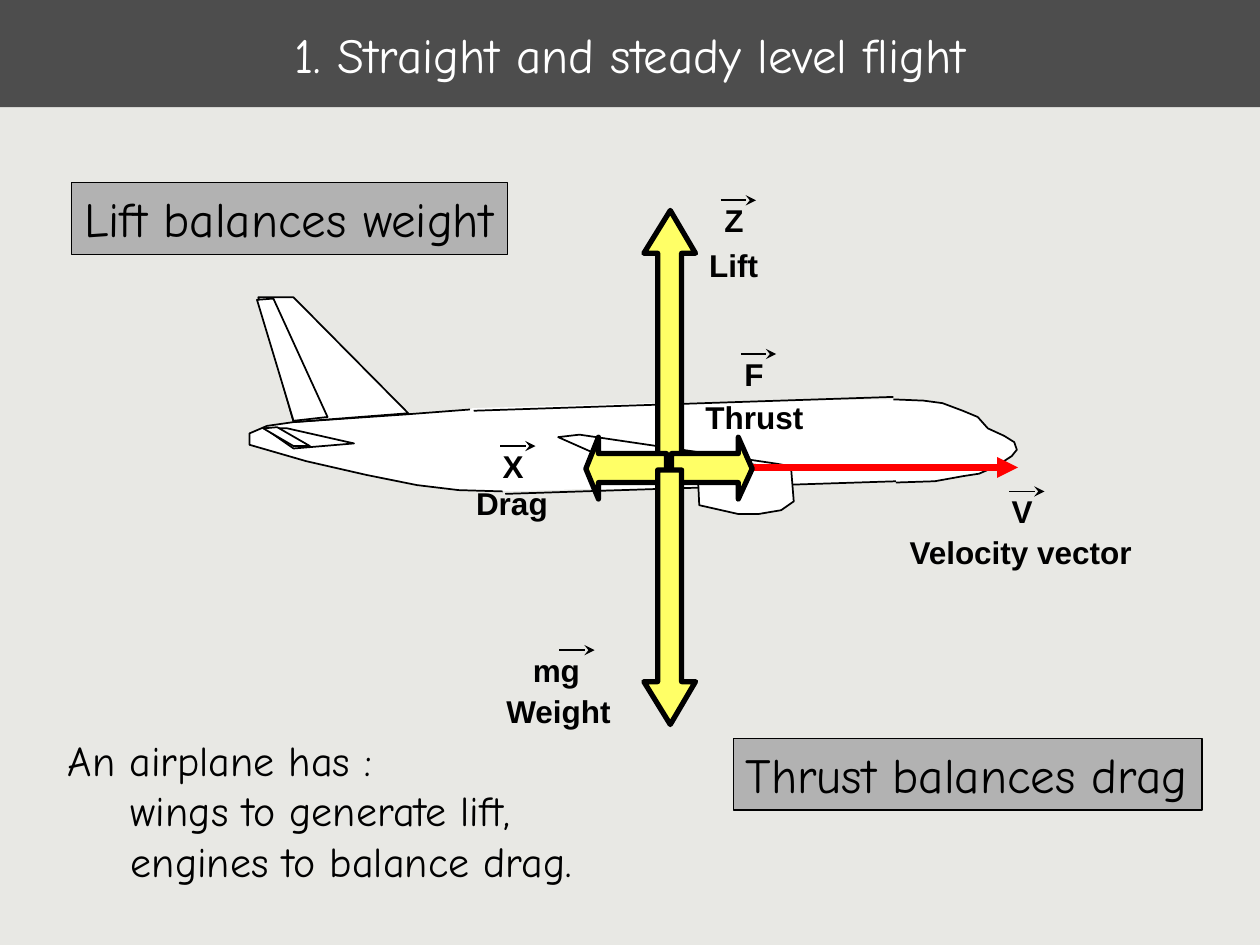
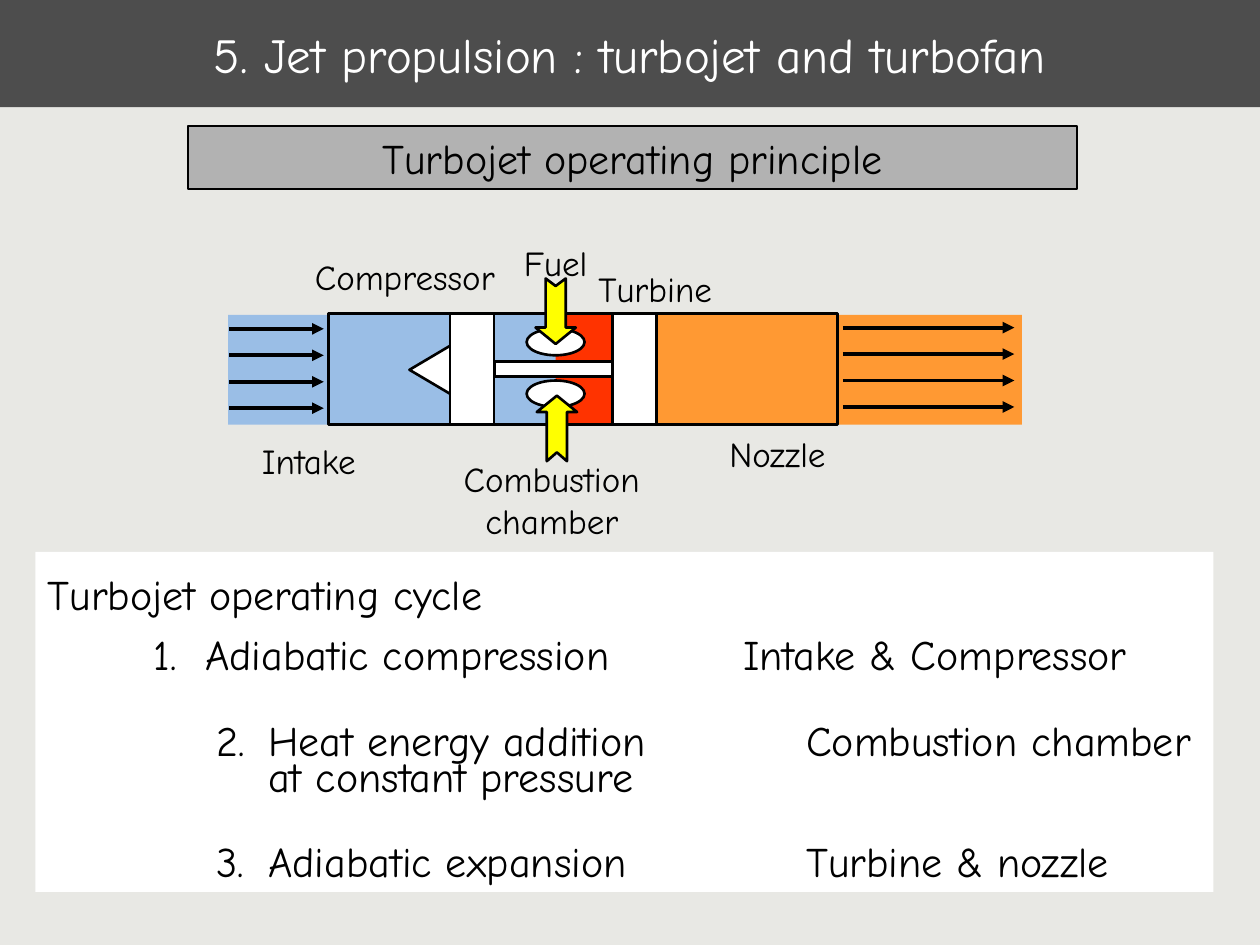
import pptx
import pptx.util
import pptx.dml.color
import pptx.enum.shapes
import pptx.enum.text
import pptx.oxml.ns
import lxml.etree

RGB = pptx.dml.color.RGBColor
KIND = pptx.enum.shapes.MSO_SHAPE
ALIGN = pptx.enum.text.PP_ALIGN
ANCHOR = pptx.enum.text.MSO_ANCHOR
FIT = pptx.enum.text.MSO_AUTO_SIZE
qn = pptx.oxml.ns.qn

SCALE = 9144  # EMU in one px, 100 px to the inch

PAPER = RGB(0xE8, 0xE8, 0xE4)
BAND = RGB(0x4D, 0x4D, 0x4D)
GREY = RGB(0xB2, 0xB2, 0xB2)
BLACK = RGB(0, 0, 0)
WHITE = RGB(0xFF, 0xFF, 0xFF)
RED = RGB(0xFF, 0, 0)
FLAME = RGB(0xFF, 0x33, 0)
ORANGE = RGB(0xFF, 0x99, 0x33)
BLUE = RGB(0x9A, 0xBE, 0xE6)
LEMON = RGB(0xFF, 0xFF, 0x66)
YELLOW = RGB(0xFF, 0xFF, 0)

HAND = "Comic Neue"
SANS = "Arial"

# Airplane outlines, from back to front
HULL = [(375, 324), (514, 320), (636, 318), (695, 317), (717, 317), (717, 382),
        (620, 385), (513, 388), (471, 388), (440, 389), (405, 390), (387, 389),
        (350, 367), (354, 336), (375, 324)]
NOSE = [(709, 317), (733, 318), (748, 320), (764, 326), (776, 331), (784, 340),
        (797, 346), (805, 351), (807, 357), (803, 362), (791, 370), (777, 376),
        (764, 378), (742, 382), (711, 383)]
REAR = [(373, 325), (321, 329), (233, 335), (212, 338), (198, 344), (198, 353),
        (243, 366), (291, 377), (331, 385), (364, 389), (399, 390)]
FIN = [(324, 328), (233, 236), (205, 236), (233, 335), (324, 328)]
RUDDER = [(260, 331), (217, 237), (204, 238), (233, 334), (260, 331)]
WING = [(443, 347), (460, 345), (616, 368), (627, 370), (621, 374), (594, 377),
        (550, 379), (503, 379), (495, 370), (443, 347)]
ENGINE = [(628, 373), (630, 398), (620, 405), (602, 408), (586, 408), (555, 401),
          (554, 380), (577, 374), (607, 371), (628, 373)]
PYLON = [(608, 370), (585, 367), (561, 367), (509, 369), (516, 377), (561, 378),
         (576, 374), (608, 370)]
TAIL = [(281, 352), (228, 340), (210, 340), (233, 356), (281, 352)]
FLAP = [(246, 354), (220, 339), (209, 340), (233, 354), (246, 354)]


def px(*sizes):
    return [round(size * SCALE) for size in sizes]


def paint(shape, fill, weight):
    """Set the fill and the black outline; None and 0 mean neither."""
    shape.shadow.inherit = False
    if fill is None:
        shape.fill.background()
    else:
        shape.fill.solid()
        shape.fill.fore_color.rgb = fill
    if weight:
        shape.line.color.rgb = BLACK
        shape.line.width = pptx.util.Pt(weight)
    else:
        shape.line.fill.background()
    return shape


def block(slide, box, fill=None, weight=0, kind=KIND.RECTANGLE):
    return paint(slide.shapes.add_shape(kind, *px(*box)), fill, weight)


def outline(slide, dots, fill, weight):
    pen = slide.shapes.build_freeform(*dots[0], scale=SCALE)
    pen.add_line_segments(dots[1:], close=False)
    return paint(pen.convert_to_shape(), fill, weight)


def line(slide, start, end, weight=1, color=BLACK, head=None):
    wire = slide.shapes.add_connector(
        pptx.enum.shapes.MSO_CONNECTOR.STRAIGHT, *px(*start, *end))
    wire.line.color.rgb = color
    wire.line.width = pptx.util.Pt(weight)
    if head:
        edge = wire.line._get_or_add_ln()
        lxml.etree.SubElement(edge, qn("a:tailEnd"), type=head)
    lxml.etree.SubElement(wire._element.spPr, qn("a:effectLst"))


def write(shape, text, size, font=HAND, color=BLACK, align=ALIGN.LEFT,
          anchor=ANCHOR.TOP, wrap=False, grow=True):
    frame = shape.text_frame
    frame.text = text
    frame.word_wrap = wrap
    frame.vertical_anchor = anchor
    frame.auto_size = FIT.SHAPE_TO_FIT_TEXT if grow else FIT.NONE
    for para in frame.paragraphs:
        para.alignment = align
        style(para, size, font, color)
    return frame


def style(para, size, font, color):
    for run in para.runs:
        run.font.size = pptx.util.Pt(size)
        run.font.name = font
        run.font.bold = font == SANS
        run.font.color.rgb = color


def indent(para, left):
    para.level = 1
    props = para._p.get_or_add_pPr()
    props.set("marL", str(left * SCALE))
    props.set("indent", "0")


def set_tabs(para, stops):
    tabs = lxml.etree.SubElement(para._p.get_or_add_pPr(), qn("a:tabLst"))
    for stop in stops:
        lxml.etree.SubElement(tabs, qn("a:tab"), pos=str(stop * SCALE), algn="l")


def label(slide, box, text, size=20, font=HAND, align=ALIGN.LEFT):
    return write(slide.shapes.add_textbox(*px(*box)), text, size, font, align=align)


def force(slide, left, top, wide, text):
    label(slide, (left, top, wide, 40), text, 18, SANS)


def vector(slide, left, top, wide, sign):
    """A bold symbol under a small arrow."""
    right = left + wide
    line(slide, (right - 28, top + 4), (right, top + 4), head="stealth")
    force(slide, left, top, wide, sign)


def arrow(slide, mid, marks, wide, thin, fill, weight, flat=False):
    """A block arrow about the axis mid; marks are tip, base, notch and tail."""
    tip, base, notch, tail = marks
    dots = [(mid - wide, base), (mid - thin, base), (mid - thin, tail),
            (mid, notch), (mid + thin, tail), (mid + thin, base),
            (mid + wide, base), (mid, tip), (mid - wide, base)]
    if flat:
        dots = [(y, x) for x, y in dots]
    outline(slide, dots, fill, weight)


def caption(slide, box, text):
    write(block(slide, box, GREY, 0.75), text, 28)


def start(deck, title):
    slide = deck.slides.add_slide(deck.slide_layouts[6])
    slide.background.fill.solid()
    slide.background.fill.fore_color.rgb = PAPER
    write(block(slide, (0, 0, 1000, 85), BAND), title, 28, color=WHITE,
          align=ALIGN.CENTER, anchor=ANCHOR.MIDDLE, wrap=True, grow=False)
    return slide


def flight(deck):
    slide = start(deck, "1. Straight and steady level flight")

    # Airplane
    outline(slide, HULL, WHITE, 0)
    line(slide, (709, 315), (376, 326))
    outline(slide, NOSE, WHITE, 1)
    outline(slide, REAR, WHITE, 1)
    line(slide, (711, 382), (401, 392))
    for part in (FIN, RUDDER, WING, ENGINE, PYLON, TAIL, FLAP):
        outline(slide, part, WHITE, 1)

    # Forces and velocity
    arrow(slide, 531.5, (167, 201, 369, 369), 20.5, 9.5, LEMON, 3)
    line(slide, (531, 371), (808, 371), 4, RED, "triangle")
    for marks in ((465, 475, 529, 529), (597, 586, 533, 533)):
        arrow(slide, 371.5, marks, 24.5, 11.5, LEMON, 3, flat=True)
    arrow(slide, 531.5, (575, 541, 373, 373), 20.5, 9.5, LEMON, 3)

    # Symbols and names
    for spot in ((565, 155, 35, "Z"), (793, 386, 36, "V"), (389, 350, 36, "X"),
                 (581, 277, 35, "F"), (413, 512, 59, "mg")):
        vector(slide, *spot)
    for spot in ((553, 190, 59, "Lift"), (712, 418, 198, "Velocity vector"),
                 (368, 379, 77, "Drag"), (550, 311, 98, "Thrust"),
                 (392, 544, 104, "Weight")):
        force(slide, *spot)

    # Statements
    caption(slide, (582, 586, 372, 57), "Thrust balances drag")
    frame = label(slide, (44, 578, 422, 130), "An airplane has :\n"
                  "wings to generate lift,\nengines to balance drag.", 24)
    for para in frame.paragraphs[1:]:
        indent(para, 50)
    caption(slide, (57, 145, 346, 57), "Lift balances weight")


def jet(deck):
    slide = start(deck, "5. Jet propulsion : turbojet and turbofan")

    # Gas flow
    for left, wide, fill in ((430, 58, FLAME), (392, 49, BLUE),
                             (517, 294, ORANGE), (181, 189, BLUE)):
        block(slide, (left, 250, wide, 87), fill)

    # Part names
    for box, text in (((240, 198, 163, 44), "Compressor"),
                      ((198, 344, 96, 44), "Intake"),
                      ((465, 207, 110, 44), "Turbine"),
                      ((569, 338, 97, 44), "Nozzle")):
        label(slide, box, text)
    for box, text in (((406, 187, 70, 44), "Fuel"),
                      ((358, 358, 160, 77), "Combustion\nchamber")):
        label(slide, box, text, align=ALIGN.CENTER)

    # Engine
    block(slide, (261, 249, 404, 88), None, 1.5)
    cone = block(slide, (322, 277, 39, 33), WHITE, 1.5, KIND.ISOSCELES_TRIANGLE)
    cone.rotation = 270
    for left in (357, 486):
        block(slide, (left, 249, 35, 88), WHITE, 1.5)
    for top in (261, 302):
        block(slide, (418, top, 46, 21), WHITE, 1.5, KIND.OVAL)
    block(slide, (393, 287, 93, 12), WHITE, 1.5)
    arrow(slide, 441, (273, 260, 227, 221), 16, 8, YELLOW, 1.5)
    arrow(slide, 442, (314, 327, 359, 366), 16, 8, YELLOW, 1.5)

    # Flow arrows
    for left, right, top in ((669, 805, 260), (182, 257, 261)):
        for row in range(4):
            y = top + 21 * row
            line(slide, (left, y), (right, y), 2.25, head="triangle")

    # Cycle: the later steps stand 50 px further in
    cycle = ("Turbojet operating cycle\v\t1. \tAdiabatic compression \tIntake & Compressor\n"
             "\t2.\tHeat energy addition\tCombustion chamber\n"
             "\t\tat constant pressure\n"
             "\t3.\tAdiabatic expansion\tTurbine & nozzle")
    frame = write(block(slide, (28, 438, 935, 270), WHITE), cycle, 24, wrap=True)
    for para, space, shift in zip(frame.paragraphs, (1.2, 1.7, 0.7, 1.7),
                                  (0, 50, 50, 50)):
        set_tabs(para, [stop + shift for stop in (84, 125, 552)])
        para.line_spacing = space

    # Heading
    write(block(slide, (149, 100, 706, 50), GREY, 1), "Turbojet operating principle",
          24, align=ALIGN.CENTER, anchor=ANCHOR.MIDDLE, wrap=True)


def main():
    deck = pptx.Presentation()
    deck.slide_width, deck.slide_height = px(1000, 750)
    flight(deck)
    jet(deck)
    deck.save("out.pptx")


if __name__ == "__main__":
    main()
